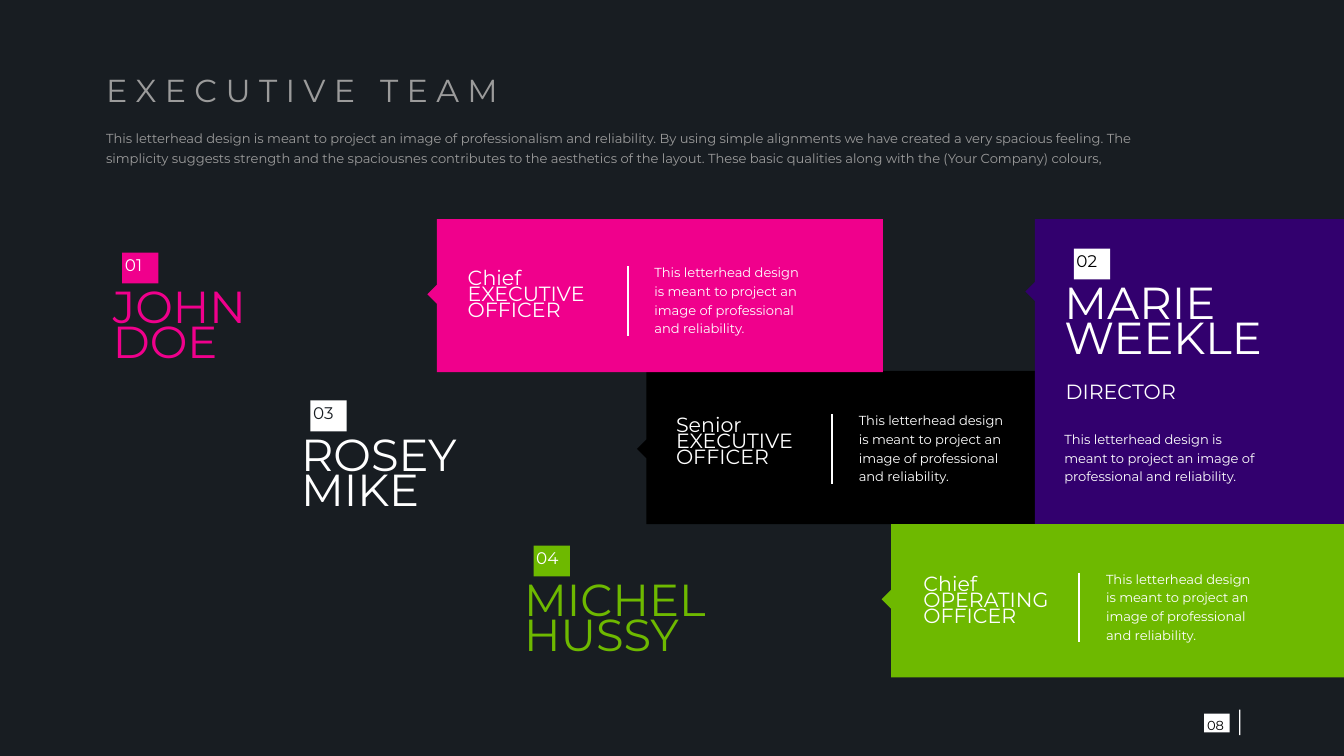
from pptx import Presentation
from pptx.dml.color import RGBColor
from pptx.enum.shapes import MSO_CONNECTOR, MSO_SHAPE
from pptx.enum.text import MSO_ANCHOR, PP_ALIGN
from pptx.oxml.ns import qn
from pptx.util import Inches, Pt
from lxml import etree

RECT = MSO_SHAPE.RECTANGLE
STRAIGHT = MSO_CONNECTOR.STRAIGHT
MIDDLE = MSO_ANCHOR.MIDDLE
LEFT, CENTER = PP_ALIGN.LEFT, PP_ALIGN.CENTER
FONT = "Montserrat"
COLORS = {
    "back": "181D22", "gray": "9B9B9B", "white": "FFFFFF", "black": "000000",
    "ink": "191E23", "pink": "F0008C", "violet": "32006E", "green": "6EB900",
}
TITLE = "E X E C U T I V E   T E A M"
INTRO = (
    "This letterhead design is meant to project an image of professionalism and "
    "reliability. By using simple alignments we have created a very spacious feeling. "
    "The simplicity suggests strength and the spaciousnes contributes to the aesthetics "
    "of the layout. These basic qualities along with the (Your Company) colours,"
)
BLURB = ("This letterhead design is meant to project an image of "
         "professional and reliability.")
PANELS = [
    (4.81, 2.76, 2.89, 1.14, 0.58, "black"),
    (3.25, 1.63, 3.32, 1.14, 0.56, "pink"),
    (7.7, 1.63, 2.31, 2.28, 0.54, "violet"),
    (6.63, 3.9, 3.39, 1.14, 0.56, "green"),
]
NAMES = [
    (0.84, 2.1, 1.14, "01", "JOHN\nDOE", "pink", "white"),
    (7.92, 2.07, 1.52, "02", "MARIE WEEKLE", "white", "black"),
    (2.24, 3.2, 1.27, "03", "ROSEY MIKE", "white", "ink"),
    (3.9, 4.28, 1.41, "04", "MICHEL HUSSY", "green", "white"),
]
ROLES = [
    (3.48, 1.96, 1.19, "Chief\nEXECUTIVE\nOFFICER"),
    (5.03, 3.06, 1.16, "Senior\nEXECUTIVE\nOFFICER"),
    (6.87, 4.24, 1.16, "Chief\nOPERATING OFFICER"),
]


def rgb(name):
    """Return the named colour."""
    return RGBColor.from_string(COLORS[name])


def add_rect(slide, x, y, w, h, color):
    """Add a plain filled rectangle."""
    rect = slide.shapes.add_shape(RECT, Inches(x), Inches(y), Inches(w), Inches(h))
    rect.shadow.inherit = False
    rect.fill.solid()
    rect.fill.fore_color.rgb = rgb(color)
    rect.line.fill.background()
    return rect


def add_text(slide, x, y, w, h, text, size, color, lead, align=LEFT):
    """Add a wrapped text box without margins."""
    box = slide.shapes.add_textbox(Inches(x), Inches(y), Inches(w), Inches(h))
    frame = box.text_frame
    frame.margin_left = frame.margin_right = 0
    frame.margin_top = frame.margin_bottom = 0
    frame.word_wrap = True
    frame.vertical_anchor = MIDDLE
    frame.text = text
    for para in frame.paragraphs:
        para.alignment = align
        para.line_spacing = lead
        for run in para.runs:
            run.font.name = FONT
            run.font.size = Pt(size)
            run.font.color.rgb = rgb(color)


def add_rule(slide, x, y, h):
    """Add a thin white upright line."""
    rule = slide.shapes.add_connector(
        STRAIGHT, Inches(x), Inches(y), Inches(x), Inches(y + h))
    rule.line.color.rgb = rgb("white")
    rule.line.width = Pt(1)
    etree.SubElement(rule.element.spPr, qn("a:effectLst"))


def add_head(slide, x, y, w):
    """Add the title and the intro below it."""
    add_text(slide, x, y, 3.06, 0.33, TITLE, 17, "gray", 0.7)
    add_text(slide, x, y + 0.39, w, 0.31, INTRO, 7, "gray", 1.3)


def add_panel(slide, x, y, w, h, drop, color):
    """Add a colour panel with a pointer on its left side."""
    add_rect(slide, x, y, w, h, color)
    tip = add_rect(slide, x - 0.05, y + drop - 0.05, 0.1, 0.1, color)
    tip.rotation = 45


def add_name(slide, x, y, w, number, name, color, ink):
    """Add a large name under its numbered badge."""
    add_text(slide, x, y, w, 0.72, name, 24, color, 0.65)
    add_rect(slide, x + 0.07, y - 0.22, 0.27, 0.23, color)
    add_text(slide, x + 0.09, y - 0.21, 0.24, 0.2, number, 9, ink, 0.7)


def add_role(slide, x, y, gap, role):
    """Add a role, a dividing line and a blurb side by side."""
    add_text(slide, x, y, 1.02, 0.49, role, 11, "white", 0.65)
    add_rule(slide, x + gap, y + 0.02, 0.52)
    add_text(slide, x + gap + 0.2, y - 0.02, 1.14, 0.57, BLURB, 7, "white", 1.2)


def add_chief(slide, x, y, w):
    """Add the director's role above its blurb."""
    add_text(slide, x + 0.01, y, w, 0.23, "DIRECTOR", 11, "white", 0.65)
    add_text(slide, x, y + 0.36, w, 0.43, BLURB, 7, "white", 1.2)


def add_foot(slide, x, y):
    """Add the page number and its side bar."""
    add_rect(slide, x + 0.03, y + 0.03, 0.19, 0.14, "white")
    add_text(slide, x, y + 0.02, 0.23, 0.16, "08", 7, "black", 1.3, CENTER)
    add_rect(slide, x + 0.29, y, 0.01, 0.19, "white")


def main():
    """Build the team slide and save it."""
    deck = Presentation()
    deck.slide_width = Inches(10)
    deck.slide_height = deck.slide_width * 9 // 16
    slide = deck.slides.add_slide(deck.slide_layouts[6])
    slide.background.fill.solid()
    slide.background.fill.fore_color.rgb = rgb("back")
    add_head(slide, 0.79, 0.54, 8.06)
    for panel in PANELS:
        add_panel(slide, *panel)
    for name in NAMES:
        add_name(slide, *name)
    for role in ROLES:
        add_role(slide, *role)
    add_chief(slide, 7.92, 2.82, 1.5)
    add_foot(slide, 8.93, 5.28)
    deck.save("out.pptx")


if __name__ == "__main__":
    main()
